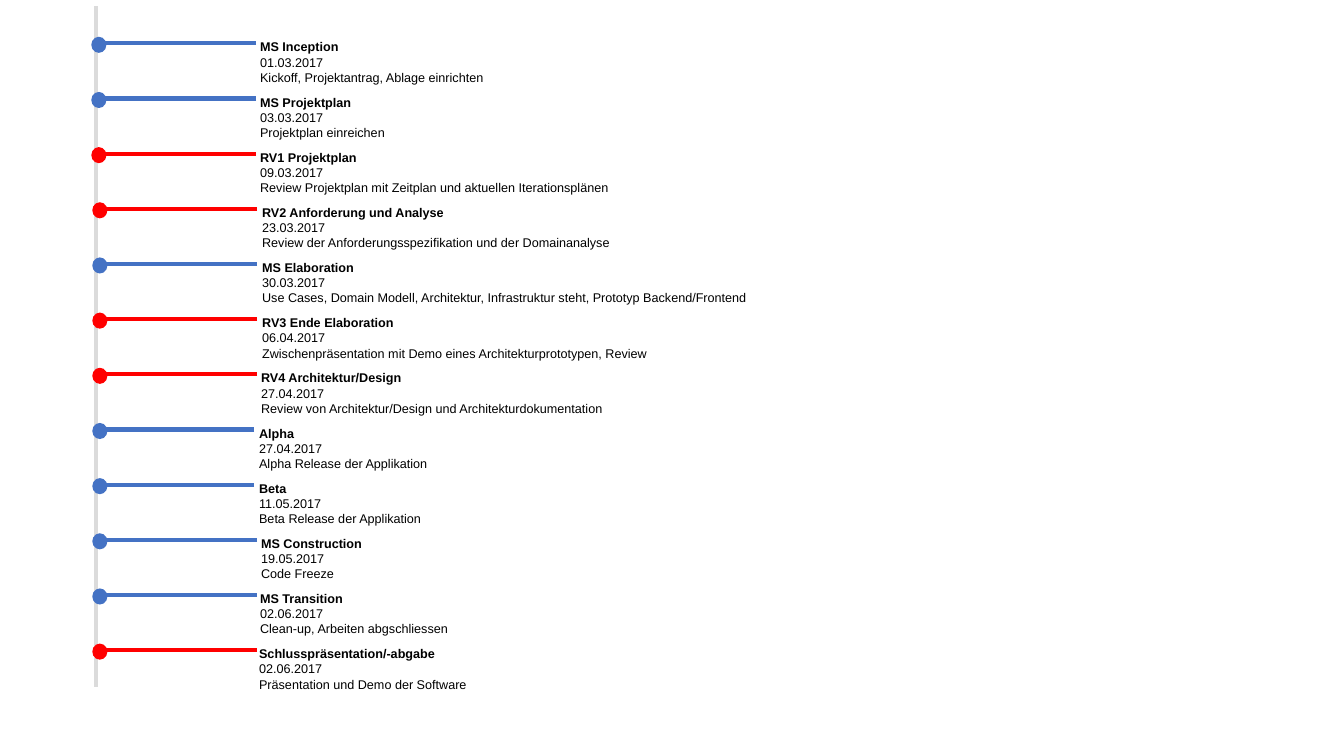
import pptx
import pptx.dml.color
import pptx.enum.shapes
import pptx.enum.text
import pptx.oxml.ns
import pptx.util
from lxml import etree

Inches = pptx.util.Inches
BLUE, RED, GREY, BLACK = "4472C4", "FF0000", "DBDBDB", "000000"


def add_line(page, start, end, color):
    line = page.shapes.add_connector(
        pptx.enum.shapes.MSO_CONNECTOR.STRAIGHT,
        Inches(start[0]), Inches(start[1]), Inches(end[0]), Inches(end[1]))
    line.line.color.rgb = pptx.dml.color.RGBColor.from_string(color)
    line.line.width = pptx.util.Pt(3)
    etree.SubElement(line._element.spPr, pptx.oxml.ns.qn("a:effectLst"))


def add_text(para, text, size=9, bold=False, color=BLACK, font="Arial"):
    span = para.add_run()
    span.text = text
    span.font.name = font
    span.font.size = pptx.util.Pt(size)
    span.font.bold = bold
    span.font.color.rgb = pptx.dml.color.RGBColor.from_string(color)


milestones = [
    (BLUE, 0.90, 2.54, 2.55, 2.56, "MS Inception", "01.03.2017",
     "Kickoff, Projektantrag, Ablage einrichten"),
    (BLUE, 0.90, 2.54, 2.55, 2.56, "MS Projektplan", "03.03.2017",
     "Projektplan einreichen"),
    (RED, 0.90, 2.54, 2.55, 4.12, "RV1 Projektplan", "09.03.2017",
     "Review Projektplan mit Zeitplan und aktuellen Iterationsplänen"),
    (RED, 0.91, 2.55, 2.57, 4.34, "RV2 Anforderung und Analyse", "23.03.2017",
     "Review der Anforderungsspezifikation und der Domainanalyse"),
    (BLUE, 0.91, 2.55, 2.57, 4.92, "MS Elaboration", "30.03.2017",
     "Use Cases, Domain Modell, Architektur, Infrastruktur steht, Prototyp Backend/Frontend"),
    (RED, 0.91, 2.55, 2.57, 4.92, "RV3 Ende Elaboration", "06.04.2017",
     "Zwischenpräsentation mit Demo eines Architekturprototypen, Review"),
    (RED, 0.91, 2.55, 2.56, 4.09, "RV4 Architektur/Design", "27.04.2017",
     "Review von Architektur/Design und Architekturdokumentation"),
    (BLUE, 0.91, 2.52, 2.54, 2.56, "Alpha", "27.04.2017",
     "Alpha Release der Applikation"),
    (BLUE, 0.91, 2.52, 2.54, 2.56, "Beta", "11.05.2017",
     "Beta Release der Applikation"),
    (BLUE, 0.91, 2.55, 2.56, 2.56, "MS Construction", "19.05.2017",
     "Code Freeze"),
    (BLUE, 0.91, 2.55, 2.55, 2.56, "MS Transition", "02.06.2017",
     "Clean-up, Arbeiten abgschliessen"),
    (RED, 0.91, 2.55, 2.54, 2.56, "Schlusspräsentation/-abgabe", "02.06.2017",
     "Präsentation und Demo der Software"),
]

deck = pptx.Presentation()
deck.slide_width = Inches(13.33)
deck.slide_height = Inches(7.5)
page = deck.slides.add_slide(deck.slide_layouts[6])

add_line(page, (0.95, 0.06), (0.95, 6.82), GREY)

first_y, last_y = 0.43, 6.45
pitch = (last_y - first_y) / (len(milestones) - 1)

for index, milestone in enumerate(milestones):
    color, dot_left, line_end, text_left, text_width, *texts = milestone
    y = first_y + index * pitch

    add_line(page, (line_end, y), (line_end - 1.56, y), color)

    dot = page.shapes.add_shape(
        pptx.enum.shapes.MSO_SHAPE.OVAL,
        Inches(dot_left), Inches(y - 0.06), Inches(0.16), Inches(0.15))
    dot.rotation = 90
    dot.shadow.inherit = False
    dot.fill.solid()
    dot.fill.fore_color.rgb = pptx.dml.color.RGBColor.from_string(color)
    dot.line.fill.background()

    box = page.shapes.add_textbox(
        Inches(text_left), Inches(y - 0.07), Inches(text_width), Inches(0.45))
    frame = box.text_frame
    frame.word_wrap = True
    frame.vertical_anchor = pptx.enum.text.MSO_ANCHOR.TOP
    frame.margin_left = frame.margin_right = Inches(0.03)
    frame.margin_top = frame.margin_bottom = Inches(0.03)
    for row, text in enumerate(texts):
        para = frame.add_paragraph() if row else frame.paragraphs[0]
        add_text(para, text, bold=row == 0)

deck.save("out.pptx")
